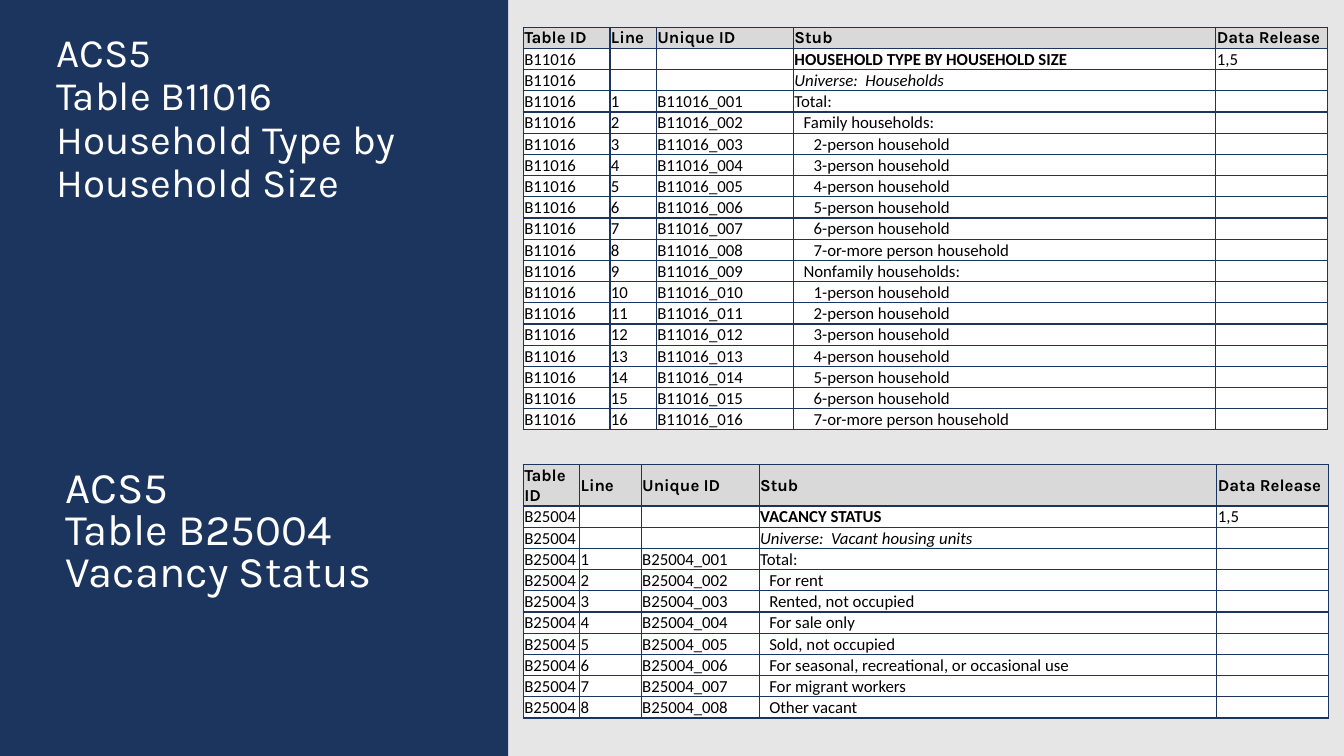
"""Build a slide listing the lines of two ACS5 tables beside their titles."""
from lxml.etree import SubElement
from pptx import Presentation
from pptx.dml.color import RGBColor
from pptx.enum.shapes import MSO_SHAPE
from pptx.enum.text import MSO_ANCHOR
from pptx.oxml.ns import qn
from pptx.util import Inches, Pt

COLORS = {"navy": "1C355E", "white": "FFFFFF", "black": "000000",
          "header": "D9D9D9", "backdrop": "E7E6E6"}
HEADINGS = ["Table ID", "Line", "Unique ID", "Stub", "Data Release"]
STUB_COLUMN = HEADINGS.index("Stub")
STUB_INSETS = [0.01, 0.1, 0.2]

HOUSEHOLD_LINES = [
    (0, "Total:"),
    (1, "Family households:"),
    *[(2, f"{size}-person household") for size in range(2, 7)],
    (2, "7-or-more person household"),
    (1, "Nonfamily households:"),
    *[(2, f"{size}-person household") for size in range(1, 7)],
    (2, "7-or-more person household"),
]
VACANCY_LINES = [
    (0, "Total:"),
    (1, "For rent"),
    (1, "Rented, not occupied"),
    (1, "For sale only"),
    (1, "Sold, not occupied"),
    (1, "For seasonal, recreational, or occasional use"),
    (1, "For migrant workers"),
    (1, "Other vacant"),
]


def color(name):
    return RGBColor.from_string(COLORS[name])


def style_font(font, family, size, ink):
    font.name, font.size = family, Pt(size)
    font.color.rgb = color(ink)


def add_panel(slide):
    panel = slide.shapes.add_shape(
        MSO_SHAPE.RECTANGLE, 0, 0, Inches(5.04), Inches(7.5))
    panel.shadow.inherit = False
    panel.fill.solid()
    panel.fill.fore_color.rgb = color("navy")
    panel.line.fill.background()


def add_title(slide, lines, left, top, height, size, line_spacing):
    title = slide.shapes.add_textbox(
        Inches(left), Inches(top), Inches(4.36), Inches(height)).text_frame
    title.word_wrap = True
    title.text = "\v".join(lines)
    paragraph = title.paragraphs[0]
    paragraph.line_spacing = line_spacing
    style_font(paragraph.font, "Karla", size, "white")


def add_borders(cell):
    properties = cell._tc.get_or_add_tcPr()
    for position, side in enumerate(("a:lnL", "a:lnR", "a:lnT", "a:lnB")):
        border = SubElement(properties, qn(side), w=str(Pt(1)))
        fill = SubElement(border, qn("a:solidFill"))
        SubElement(fill, qn("a:srgbClr"), val=COLORS["navy"])
        properties.insert(position, border)


def fill_cell(cell, text, is_header, inset, bold=False, italic=False):
    cell.fill.solid()
    cell.fill.fore_color.rgb = color("header" if is_header else "white")
    cell.margin_left = Inches(inset)
    cell.margin_right = cell.margin_top = Inches(0.01)
    cell.margin_bottom = 0
    cell.vertical_anchor = MSO_ANCHOR.MIDDLE if is_header else MSO_ANCHOR.BOTTOM
    add_borders(cell)
    paragraph = cell.text_frame.paragraphs[0]
    if text:
        paragraph.text = text
    else:
        SubElement(paragraph._p, qn("a:endParaRPr"), sz="1200")
    style_font(paragraph.font, "Karla" if is_header else "Calibri", 12, "black")
    paragraph.font.bold, paragraph.font.italic = bold, italic


def add_line_table(slide, table_id, subject, universe, lines, top, widths,
                   header_height):
    rows = [HEADINGS,
            [table_id, "", "", subject, "1,5"],
            [table_id, "", "", f"Universe:  {universe}", ""]]
    rows += [[table_id, str(number), f"{table_id}_{number:03}", stub, ""]
             for number, (_, stub) in enumerate(lines, 1)]
    levels = [0, 0, 0] + [level for level, _ in lines]
    row_height = 0.21
    table = slide.shapes.add_table(
        len(rows), len(HEADINGS), Inches(5.19), Inches(top), Inches(sum(widths)),
        Inches(header_height + row_height * (len(rows) - 1))).table
    table.horz_banding = False
    for column, width in zip(table.columns, widths):
        column.width = Inches(width)
    for r, (row, level) in enumerate(zip(rows, levels)):
        table.rows[r].height = Inches(row_height if r else header_height)
        for c, text in enumerate(row):
            is_stub = c == STUB_COLUMN
            fill_cell(table.cell(r, c), text, r == 0,
                      STUB_INSETS[level if is_stub else 0],
                      bold=r == 0 or (r == 1 and is_stub),
                      italic=r == 2 and is_stub)


def main():
    deck = Presentation()
    deck.slide_width, deck.slide_height = Inches(13.33), Inches(7.5)
    slide = deck.slides.add_slide(deck.slide_layouts[6])
    slide.background.fill.solid()
    slide.background.fill.fore_color.rgb = color("backdrop")
    add_panel(slide)
    add_title(slide, ["ACS5", "Table B11016", "Household Type by Household Size"],
              0.46, 0.27, 1.92, 28.8, 0.9)
    add_line_table(slide, "B11016", "HOUSEHOLD TYPE BY HOUSEHOLD SIZE",
                   "Households", HOUSEHOLD_LINES, 0.27,
                   [0.86, 0.46, 1.36, 4.19, 1.11], 0.2)
    add_line_table(slide, "B25004", "VACANCY STATUS", "Vacant housing units",
                   VACANCY_LINES, 4.61, [0.56, 0.61, 1.17, 4.54, 1.11], 0.4)
    add_title(slide, ["ACS5", "Table B25004", "Vacancy Status"],
              0.55, 4.61, 1.45, 31.2, 0.8)
    deck.save("out.pptx")


if __name__ == "__main__":
    main()
